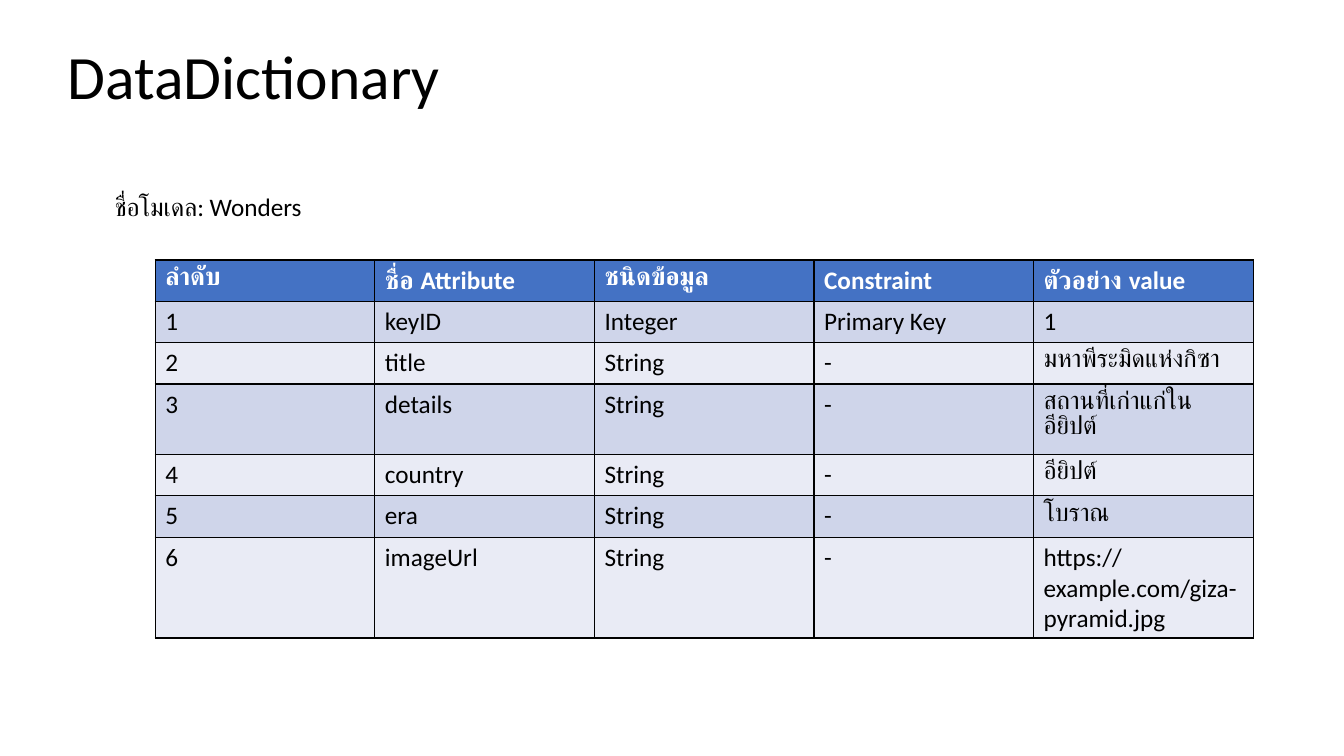
import pptx
import pptx.util
import pptx.dml.color
import pptx.enum.text
import pptx.oxml
import pptx.oxml.ns

Inches, Pt = pptx.util.Inches, pptx.util.Pt
ANCHOR = pptx.enum.text.MSO_ANCHOR
FONT = "Calibri"
COLORS = {
    "ink": "000000",
    "white": "FFFFFF",
    "head": "4472C4",
    "odd": "CFD5EA",
    "even": "E9EBF5",
}
HEADS = ["ลำดับ", "ชื่อ Attribute", "ชนิดข้อมูล", "Constraint", "ตัวอย่าง value"]
FIELDS = [
    ("keyID", "Integer", "Primary Key", "1"),
    ("title", "String", "-", "มหาพีระมิดแห่งกิซา"),
    ("details", "String", "-", "สถานที่เก่าแก่ในอียิปต์"),
    ("country", "String", "-", "อียิปต์"),
    ("era", "String", "-", "โบราณ"),
    ("imageUrl", "String", "-", "https://example.com/giza-pyramid.jpg"),
]


def color(name):
    return pptx.dml.color.RGBColor.from_string(COLORS[name])


def style(para, size, ink="ink", bold=False):
    font = para.font
    font.name, font.size, font.bold = FONT, Pt(size), bold
    font.color.rgb = color(ink)


def add_text(slide, box, text, size, anchor=ANCHOR.TOP, spacing=1.0):
    frame = slide.shapes.add_textbox(*map(Inches, box)).text_frame
    frame.word_wrap = True
    frame.vertical_anchor = anchor
    para = frame.paragraphs[0]
    para.text = text
    para.line_spacing = spacing
    style(para, size)


def add_border(cell):
    """Draw a 1 pt line on all four sides; call before setting the fill."""
    props = cell._tc.get_or_add_tcPr()
    for side in "LRTB":
        props.append(pptx.oxml.parse_xml(
            f'<a:ln{side} {pptx.oxml.ns.nsdecls("a")} w="{Pt(1)}"><a:solidFill>'
            f'<a:srgbClr val="{COLORS["ink"]}"/></a:solidFill></a:ln{side}>'))


def fill_cell(cell, text, fill, ink, bold):
    cell.text = text
    style(cell.text_frame.paragraphs[0], 18, ink, bold)
    add_border(cell)
    cell.fill.solid()
    cell.fill.fore_color.rgb = color(fill)


def add_grid(slide, left, top, width, height, rows):
    box = map(Inches, (left, top, width, height * len(rows)))
    table = slide.shapes.add_table(len(rows), len(rows[0]), *box).table
    for r, row in enumerate(rows):
        head = r == 0
        fill = "head" if head else "odd" if r % 2 else "even"
        ink = "white" if head else "ink"
        for c, text in enumerate(row):
            fill_cell(table.cell(r, c), text, fill, ink, head)
    return table


def main():
    deck = pptx.Presentation()
    deck.slide_width, deck.slide_height = Inches(13.33), Inches(7.5)
    slide = deck.slides.add_slide(deck.slide_layouts[6])
    add_text(slide, (0.57, 0.06, 11.5, 1.45), "DataDictionary", 44,
             ANCHOR.MIDDLE, 0.9)
    add_text(slide, (1.04, 1.85, 4.09, 0.4), "ชื่อโมเดล: Wonders", 18)
    rows = [HEADS] + [(str(n), *field) for n, field in enumerate(FIELDS, 1)]
    table = add_grid(slide, 1.54, 2.58, 10.89, 0.41, rows)
    table.cell(2, 3).vertical_anchor = ANCHOR.MIDDLE
    deck.save("out.pptx")


if __name__ == "__main__":
    main()
